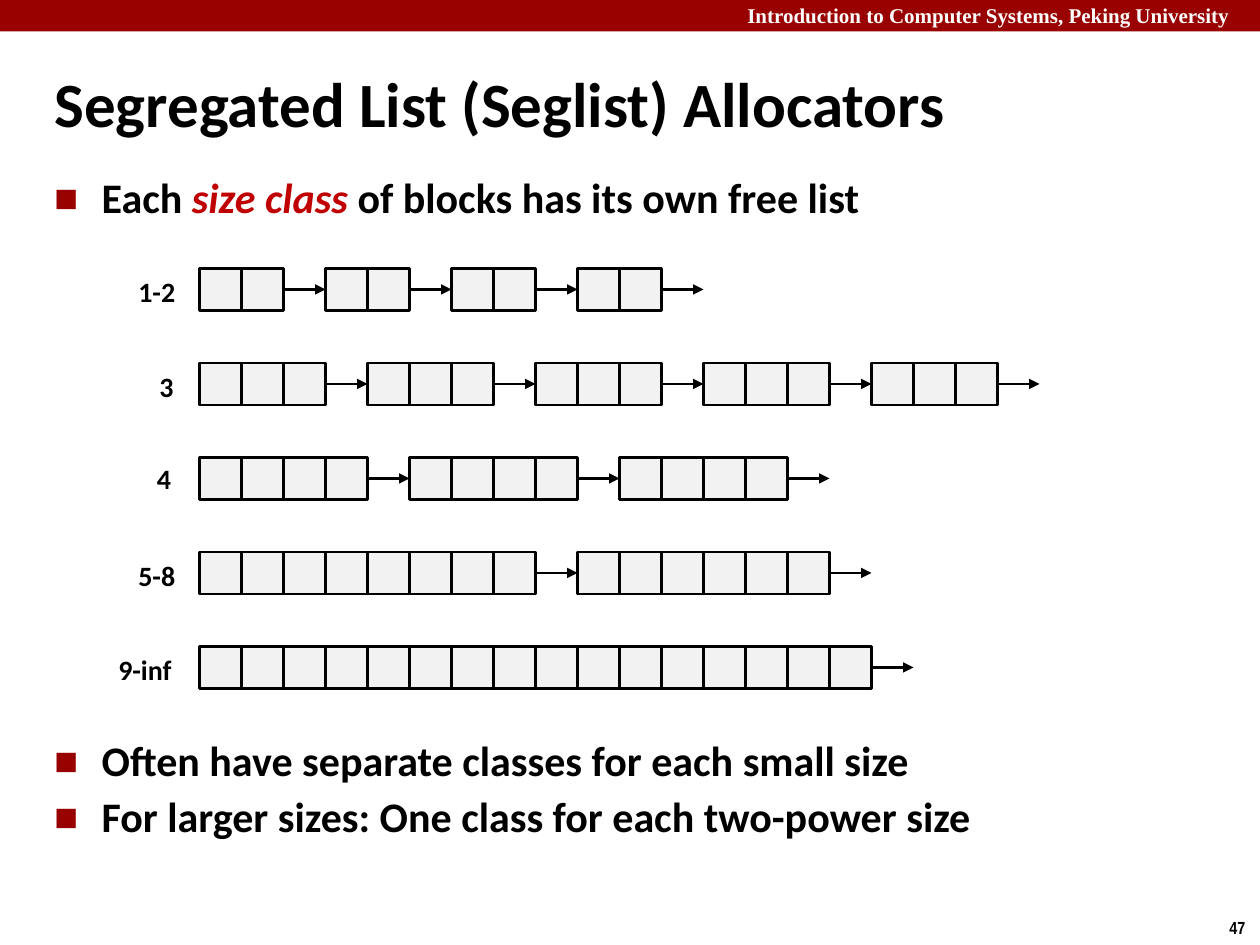
from lxml import etree
from pptx import Presentation
from pptx.dml.color import RGBColor
from pptx.enum.shapes import MSO_CONNECTOR, MSO_SHAPE
from pptx.enum.text import MSO_ANCHOR
from pptx.oxml.ns import qn
from pptx.util import Pt

RECT, LINE = MSO_SHAPE.RECTANGLE, MSO_CONNECTOR.STRAIGHT
TOP, MIDDLE = MSO_ANCHOR.TOP, MSO_ANCHOR.MIDDLE
BLACK = RGBColor(0, 0, 0)
WHITE = RGBColor(0xFF, 0xFF, 0xFF)
MAROON = RGBColor(0x99, 0, 0)
RED = RGBColor(0xC0, 0, 0)
GREY = RGBColor(0xF2, 0xF2, 0xF2)

COURSE = "Introduction to Computer Systems, Peking University"
TITLE = "Segregated List (Seglist) Allocators"
PAGE = "47"
# Each bullet is a list of (text, is a key term)
INTRO = [[("Each ", False), ("size class ", True),
          ("of blocks has its own free list", False)]]
NOTES = [[("Often have separate classes for each small size", False)],
         [("For larger sizes: One class for each two-power size", False)]]
# Size class, label box (left, top, width), cells in each free block
LISTS = [
    ("1-2", (72, 153.5, 36), [2] * 4),
    ("3", (84, 207.5, 23), [3] * 5),
    ("4", (82.5, 260, 23), [4] * 3),
    ("5-8", (72, 315.5, 36), [8, 6]),
    ("9-inf", (60.5, 369.5, 45.5), [16]),
]
CELL, LEFT, FIRST, PITCH = 24, 114, 153.4, 54

deck = Presentation()
deck.slide_width, deck.slide_height = Pt(720), Pt(540)
slide = deck.slides.add_slide(deck.slide_layouts[6])
shapes = slide.shapes


def style(run, size, face="Calibri", color=BLACK):
    font = run.font
    font.size, font.name, font.bold = Pt(size), face, True
    font.color.rgb = color


def add_frame(x, y, w, h, wrap=True, anchor=TOP):
    frame = shapes.add_textbox(Pt(x), Pt(y), Pt(w), Pt(h)).text_frame
    frame.word_wrap, frame.vertical_anchor = wrap, anchor
    return frame


def add_text(text, x, y, w, h, size, face="Calibri", color=BLACK,
             wrap=False, anchor=TOP):
    frame = add_frame(x, y, w, h, wrap, anchor)
    frame.text = text
    style(frame.paragraphs[0].runs[0], size, face, color)
    return frame


def add_box(x, y, w, h, fill):
    box = shapes.add_shape(RECT, Pt(x), Pt(y), Pt(w), Pt(h))
    box.shadow.inherit = False
    box.fill.solid()
    box.fill.fore_color.rgb = fill
    return box


def add_cell(x, y):
    line = add_box(x, y, CELL, CELL, GREY).line
    line.color.rgb, line.width = BLACK, Pt(1.5)


def add_arrow(x, y):
    link = shapes.add_connector(LINE, Pt(x), Pt(y), Pt(x + CELL), Pt(y))
    link.line.color.rgb, link.line.width = BLACK, Pt(1.5)
    etree.SubElement(link.line._get_or_add_ln(), qn("a:tailEnd"), type="triangle")
    etree.SubElement(link._element.spPr, qn("a:effectLst"))


def set_mark(para):
    """Give the paragraph a small square bullet with a hanging indent."""
    props = para._p.get_or_add_pPr()
    props.set("marL", str(Pt(27)))
    props.set("indent", str(-Pt(27)))
    tint = etree.SubElement(props, qn("a:buClr"))
    etree.SubElement(tint, qn("a:srgbClr"), val=str(MAROON))
    etree.SubElement(props, qn("a:buSzPct"), val="60000")
    etree.SubElement(props, qn("a:buFont"), typeface="Calibri")
    etree.SubElement(props, qn("a:buChar"), char="■")


def add_list(items, y, h):
    frame = add_frame(24, y, 654, h)
    for i, parts in enumerate(items):
        para = frame.add_paragraph() if i else frame.paragraphs[0]
        set_mark(para)
        para.line_spacing = 0.95
        para.space_before = Pt(4.3 if i else 0)
        for text, key in parts:
            run = para.add_run()
            run.text = text
            style(run, 24, color=RED if key else BLACK)
            run.font.italic = key


add_box(0, 0, 720, 18, MAROON).line.fill.background()
add_text(COURSE, 420, -2, 305, 21.5, 12, "Times New Roman", WHITE, wrap=True)
add_text(PAGE, 695.5, 520.5, 24.5, 19.5, 10, "Arial Narrow")
title = add_text(TITLE, 24, 39, 648, 45, 36, wrap=True, anchor=MIDDLE)
title.paragraphs[0].line_spacing = 0.87
add_list(INTRO, 96.5, 40)
add_list(NOTES, 418.5, 72)

for row, (label, (lx, ly, lw), blocks) in enumerate(LISTS):
    add_text(label, lx, ly, lw, 26.5, 16)
    x, y = LEFT, FIRST + row * PITCH
    for count in blocks:
        for i in range(count):
            add_cell(x + i * CELL, y)
        x += count * CELL
        add_arrow(x, y + CELL / 2)
        x += CELL

deck.save("out.pptx")
